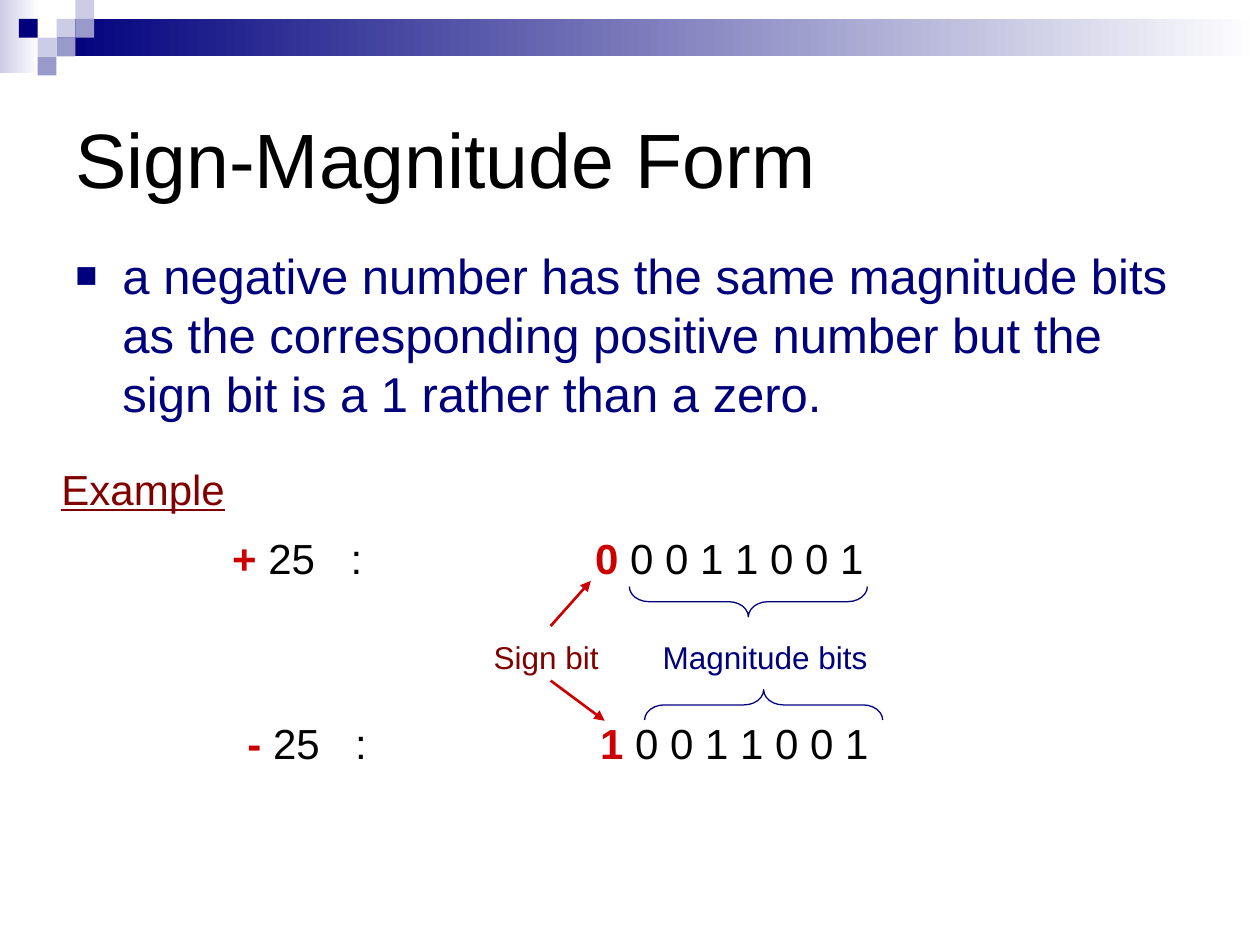
"""Build the Sign-Magnitude Form slide."""
from lxml import etree
from pptx import Presentation
from pptx.dml.color import RGBColor
from pptx.enum import shapes, text
from pptx.oxml import ns
from pptx.util import Cm, Pt

NAVY = RGBColor(0x00, 0x00, 0x7D)
LAVENDER = RGBColor(0xCC, 0xCC, 0xE6)
PERIWINKLE = RGBColor(0x99, 0x99, 0xCC)
WHITE = RGBColor(0xFF, 0xFF, 0xFF)
BLACK = RGBColor(0x00, 0x00, 0x00)
RED = RGBColor(0xCC, 0x00, 0x00)
MAROON = RGBColor(0x80, 0x00, 0x00)

presentation = Presentation()
presentation.slide_width, presentation.slide_height = Cm(25.4), Cm(19.05)
slide = presentation.slides.add_slide(presentation.slide_layouts[6])


def add_child(parent, tag, **attributes):
    return etree.SubElement(parent, ns.qn(tag), attributes)


def add_text(left, top, width, height):
    box = slide.shapes.add_textbox(Cm(left), Cm(top), Cm(width), Cm(height))
    box.text_frame.word_wrap = True
    return box.text_frame, box.text_frame.paragraphs[0]


for left, top, width, height, color in [
    (0, 0, 0.79, 1.47, LAVENDER),
    (1.14, 0.38, 24.26, 0.76, NAVY),
]:
    shape = slide.shapes.add_shape(
        shapes.MSO_SHAPE.RECTANGLE, Cm(left), Cm(top), Cm(width), Cm(height))
    shape.shadow.inherit = False
    shape.line.fill.background()
    shape.fill.gradient()
    shape.fill.gradient_angle = 0
    for stop, stop_color in zip(shape.fill.gradient_stops, (color, WHITE)):
        stop.color.rgb = stop_color

SQUARE = 0.38
for column, row, color in [
    (3, 1, LAVENDER), (4, 0, LAVENDER), (4, 1, PERIWINKLE), (2, 2, LAVENDER),
    (1, 1, NAVY), (3, 2, PERIWINKLE), (2, 3, PERIWINKLE),
]:
    shape = slide.shapes.add_shape(
        shapes.MSO_SHAPE.RECTANGLE, Cm(column * SQUARE), Cm(row * SQUARE),
        Cm(SQUARE), Cm(SQUARE))
    shape.shadow.inherit = False
    shape.fill.solid()
    shape.fill.fore_color.rgb = color
    shape.line.fill.background()

frame, paragraph = add_text(1.27, 1.27, 22.86, 3.81)
frame.vertical_anchor = text.MSO_ANCHOR.MIDDLE
paragraph.text = "Sign-Magnitude Form"
paragraph.font.name, paragraph.font.size = "Arial", Pt(44)
paragraph.font.color.rgb = BLACK

frame, paragraph = add_text(1.27, 4.83, 22.86, 4.39)
paragraph.text = (
    "a negative number has the same magnitude bits as the corresponding "
    "positive number but the sign bit is a 1 rather than a zero.")
properties = paragraph._p.get_or_add_pPr()
properties.set("marL", str(Cm(0.95)))
properties.set("indent", str(Cm(-0.95)))
add_child(add_child(properties, "a:buClr"), "a:srgbClr", val=str(NAVY))
add_child(properties, "a:buSzPct", val="75000")
add_child(properties, "a:buFont", typeface="Arial")
add_child(properties, "a:buChar", char="■")
paragraph.font.name, paragraph.font.size = "Arial", Pt(28)
paragraph.font.color.rgb = NAVY

for left, top, sign, bit, colon_tab, bits_tab in [
    (4.19, 10.62, "+", "0", 2.39, 7.32),
    (4.5, 14.33, "-", "1", 2.17, 7.11),
]:
    frame, paragraph = add_text(left, top, 17.7, 1.27)
    frame.margin_left = Cm(0.49)
    tabs = add_child(paragraph._p.get_or_add_pPr(), "a:tabLst")
    for position in (colon_tab, bits_tab):
        add_child(tabs, "a:tab", pos=str(Cm(position)), algn="l")
    paragraph.font.name, paragraph.font.size = "Arial", Pt(24)
    for content, color in [
        (sign, RED), (" 25\t:\t", BLACK),
        (bit + " ", RED), ("0 0 1 1 0 0 1", BLACK),
    ]:
        run = paragraph.add_run()
        run.text = content
        run.font.bold = color == RED
        run.font.color.rgb = color

for content, left, top, width, height, size, color in [
    ("Sign bit", 9.7, 12.73, 2.8, 1.02, 18, MAROON),
    ("Magnitude bits", 13.11, 12.73, 5, 1.02, 18, NAVY),
    ("Example", 0.99, 9.22, 4.5, 1.27, 24, MAROON),
]:
    frame, paragraph = add_text(left, top, width, height)
    paragraph.text = content
    paragraph.font.name, paragraph.font.size = "Arial", Pt(size)
    paragraph.font.color.rgb = color
    if content == "Example":
        paragraph.font.underline = True

for left, top, rotation in [(14.78, 9.73, 90), (15.09, 11.81, 270)]:
    brace = slide.shapes.add_shape(
        shapes.MSO_SHAPE.RIGHT_BRACE, Cm(left), Cm(top), Cm(0.61), Cm(4.8))
    brace.rotation = rotation
    brace.adjustments[0] = 0.65
    brace.shadow.inherit = False
    brace.fill.background()
    brace.line.color.rgb = NAVY
    brace.line.width = Pt(0.75)

for start_y, end_x, end_y in [(12.62, 11.91, 11.71), (13.72, 12.19, 14.53)]:
    arrow = slide.shapes.add_connector(
        shapes.MSO_CONNECTOR.STRAIGHT, Cm(11.1), Cm(start_y), Cm(end_x), Cm(end_y))
    arrow.line.color.rgb = RED
    arrow.line.width = Pt(1.5)
    add_child(arrow.line._get_or_add_ln(), "a:tailEnd", type="triangle")
    add_child(arrow._element.spPr, "a:effectLst")

presentation.save("out.pptx")
